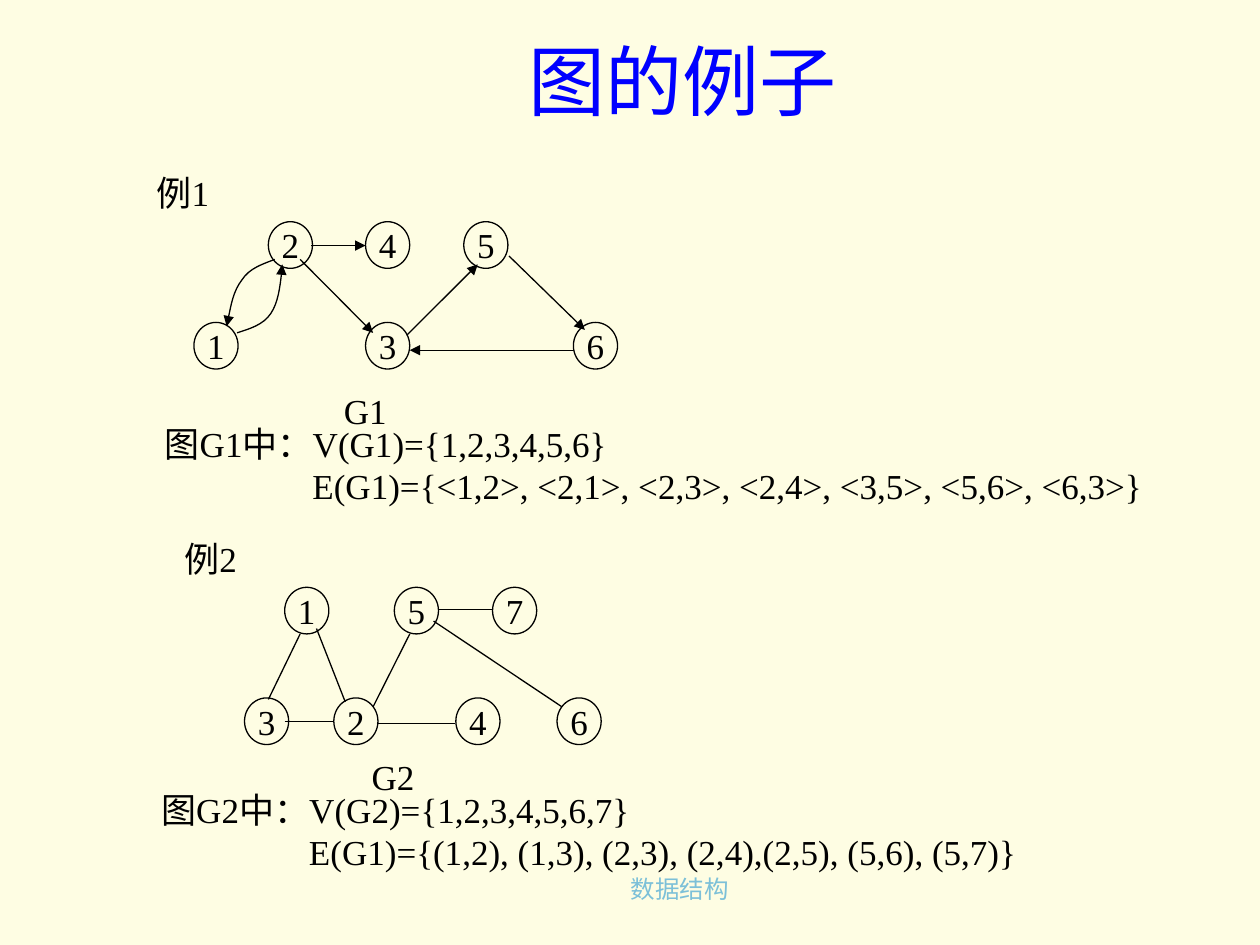
from dataclasses import dataclass

from lxml import etree
from pptx import Presentation
from pptx.dml.color import RGBColor
from pptx.enum.shapes import MSO_CONNECTOR, MSO_SHAPE
from pptx.enum.text import MSO_ANCHOR, MSO_AUTO_SIZE, PP_ALIGN
from pptx.oxml.ns import qn
from pptx.util import Cm, Pt

LINE, OVAL = MSO_CONNECTOR.STRAIGHT, MSO_SHAPE.OVAL
TOP, MIDDLE = MSO_ANCHOR.TOP, MSO_ANCHOR.MIDDLE
LEFT, CENTER = PP_ALIGN.LEFT, PP_ALIGN.CENTER
FIXED, GROW = MSO_AUTO_SIZE.NONE, MSO_AUTO_SIZE.SHAPE_TO_FIT_TEXT

COLORS = {"bg": "FEFDE3", "title": "0000FF", "ink": "000000", "footer": "7CC0D8"}
FONT = "Times New Roman"
NODE_W, NODE_H = 0.89, 0.94
LABEL_H = 1.12
SET_INDENT = 2.98


@dataclass
class Graph:
    """One example; lengths in cm, edges as (x1, y1, x2, y2)."""
    heading: str
    heading_at: tuple[float, float]
    name: str
    name_at: tuple[float, float]
    sets: tuple[str, str]
    sets_box: tuple[float, float, float, float]
    rows: dict[float, dict[str, float]]  # top -> {vertex: left}
    edges: list[tuple[float, float, float, float]]
    curves: list[list[tuple[float, float]]]  # start, then bezier triples
    directed: bool


GRAPHS = [
    Graph(
        "例1", (2.82, 3.33), "G1", (6.68, 7.72),
        ("图G1中：V(G1)={1,2,3,4,5,6}",
         "E(G1)={<1,2>, <2,1>, <2,3>, <2,4>, <3,5>, <5,6>, <6,3>}"),
        (3.07, 8.38, 20.24, 1.96),
        {4.47: {"2": 5.41, "4": 7.37, "5": 9.35},
         6.5: {"1": 3.91, "3": 7.37, "6": 11.56}},
        [(6.27, 4.95, 7.37, 4.95), (6.05, 5.23, 7.52, 6.71),
         (11.58, 7.06, 8.26, 7.06), (8.2, 6.76, 9.63, 5.33),
         (10.26, 5.16, 11.79, 6.65)],
        [[(5.54, 5.23), (5.28, 5.33), (5.03, 5.41), (4.88, 5.64),
          (4.7, 5.87), (4.6, 6.43), (4.57, 6.58)],
         [(4.78, 6.71), (5.03, 6.63), (5.31, 6.55), (5.46, 6.32),
          (5.61, 6.1), (5.69, 5.49), (5.69, 5.33)]],
        True),
    Graph(
        "例2", (3.38, 10.69), "G2", (7.24, 15.09),
        ("图G2中：V(G2)={1,2,3,4,5,6,7}",
         "E(G1)={(1,2), (1,3), (2,3), (2,4),(2,5), (5,6), (5,7)}"),
        (3, 15.77, 17.78, 1.96),
        {11.84: {"1": 5.74, "5": 7.95, "7": 9.93},
         14.07: {"3": 4.93, "2": 6.73, "4": 9.19, "6": 11.23}},
        [(6.05, 12.78, 5.41, 14.1), (5.74, 14.55, 6.73, 14.55),
         (6.38, 12.67, 6.96, 14.15), (8.26, 12.78, 7.52, 14.25),
         (7.59, 14.58, 9.17, 14.58), (8.84, 12.29, 9.91, 12.29),
         (8.74, 12.52, 11.33, 14.25)],
        [], False),
]


def rgb(name: str) -> RGBColor:
    return RGBColor.from_string(COLORS[name])


def write(sp, lines: tuple[str, ...], size=20, color="ink", align=CENTER,
          anchor=MIDDLE, wrap=False, grow=False, inset=0.13) -> None:
    tf = sp.text_frame
    tf.word_wrap = wrap
    tf.auto_size = GROW if grow else FIXED
    tf.vertical_anchor = anchor
    tf.margin_left = tf.margin_right = Cm(0.25)
    tf.margin_top = tf.margin_bottom = Cm(inset)
    for i, line in enumerate(lines):
        p = tf.add_paragraph() if i else tf.paragraphs[0]
        p.alignment = align
        r = p.add_run()
        r.text = line
        r.font.name, r.font.size = FONT, Pt(size)
        r.font.color.rgb = rgb(color)


def add_text(s, box: tuple[float, ...], lines: tuple[str, ...], **style):
    sp = s.shapes.add_textbox(*map(Cm, box))
    write(sp, lines, **style)
    return sp


def style_line(sp, arrow: bool = False) -> None:
    sp.line.color.rgb = rgb("ink")
    sp.line.width = Pt(0.75)
    if arrow:
        ln = sp.line._get_or_add_ln()
        etree.SubElement(ln, qn("a:tailEnd"), type="triangle")


def add_node(s, x: float, y: float, label: str) -> None:
    sp = s.shapes.add_shape(OVAL, Cm(x), Cm(y), Cm(NODE_W), Cm(NODE_H))
    sp.shadow.inherit = False
    sp.fill.background()
    style_line(sp)
    write(sp, (label,))


def add_edge(s, ends: tuple[float, ...], arrow: bool) -> None:
    sp = s.shapes.add_connector(LINE, *map(Cm, ends))
    style_line(sp, arrow)
    etree.SubElement(sp._element.spPr, qn("a:effectLst"))


def add_curve(s, points: list[tuple[float, float]], arrow: bool) -> None:
    start, *rest = [(Cm(x), Cm(y)) for x, y in points]
    fb = s.shapes.build_freeform(*start)
    fb.add_line_segments(rest, close=False)
    sp = fb.convert_to_shape()
    sp.shadow.inherit = False
    sp.fill.background()
    style_line(sp, arrow)
    # Turn each three line segments into one bezier segment
    segments = list(sp._element.iter(qn("a:lnTo")))
    path = segments[0].getparent()
    for i in range(0, len(segments), 3):
        bezier = etree.SubElement(path, qn("a:cubicBezTo"))
        for segment in segments[i:i + 3]:
            bezier.append(segment[0])
            path.remove(segment)


def add_graph(s, g: Graph) -> None:
    add_text(s, (*g.heading_at, 1.73, LABEL_H), (g.heading,), grow=True)
    for y, row in g.rows.items():
        for label, x in row.items():
            add_node(s, x, y, label)
    for ends in g.edges:
        add_edge(s, ends, g.directed)
    for points in g.curves:
        add_curve(s, points, g.directed)
    add_text(s, (*g.name_at, 1.37, LABEL_H), (g.name,), grow=True)
    # Vertex set, then the indented edge set
    sp = add_text(s, g.sets_box, g.sets, align=LEFT, wrap=True, grow=True)
    pPr = sp.text_frame.paragraphs[1]._p.get_or_add_pPr()
    pPr.set("marL", str(Cm(SET_INDENT)))


def main() -> None:
    prs = Presentation()
    prs.slide_width, prs.slide_height = Cm(25.4), Cm(19.05)
    s = prs.slides.add_slide(prs.slide_layouts[5])
    s.background.fill.solid()
    s.background.fill.fore_color.rgb = rgb("bg")

    # Footer and title
    add_text(s, (9.68, 17.58, 8.05, 1.07), ("数据结构",), size=14,
             color="footer", anchor=TOP, wrap=True, inset=0.03)
    title = s.shapes.title
    title.left, title.top, title.width, title.height = map(
        Cm, (2.54, 0.43, 22.43, 2.34))
    write(title, ("图的例子",), size=44, color="title", wrap=True, inset=0.03)

    # Examples
    for g in GRAPHS:
        add_graph(s, g)
    prs.save("out.pptx")


if __name__ == "__main__":
    main()
